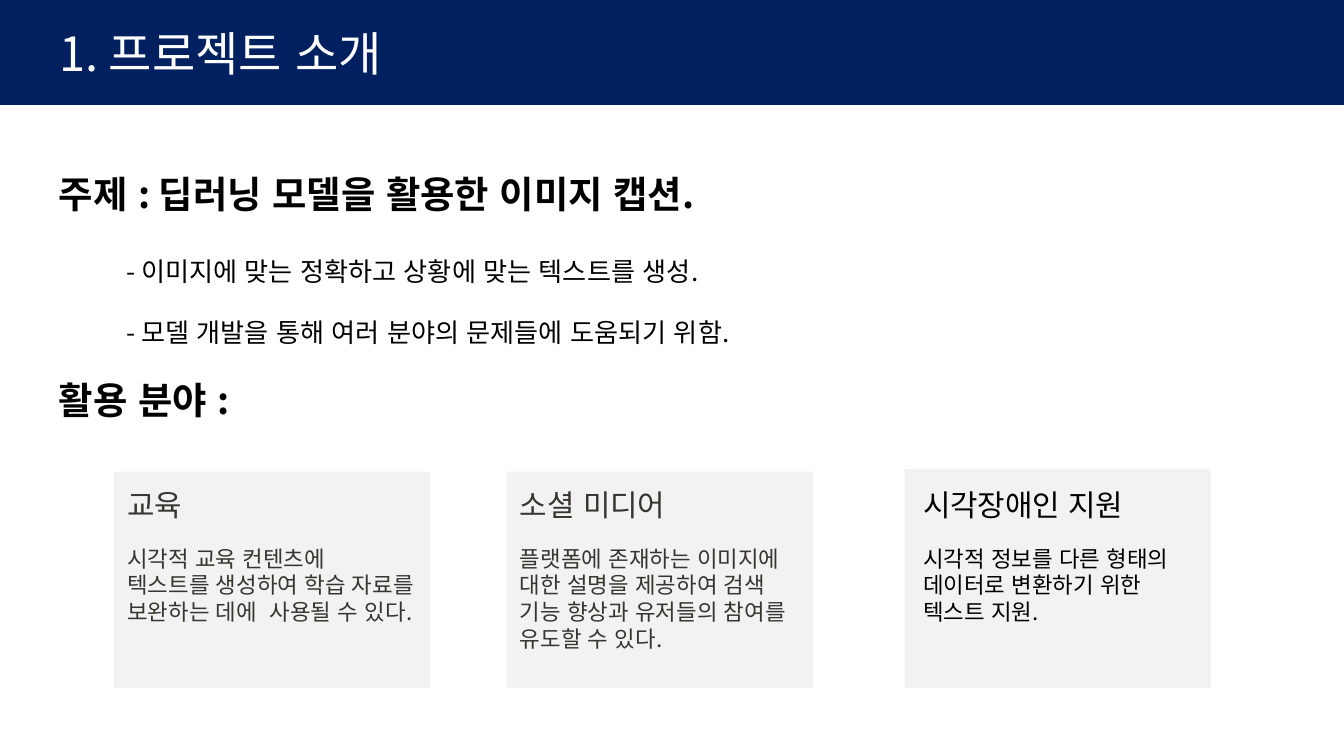
from lxml import etree
from pptx import Presentation, util as u
from pptx.dml.color import RGBColor
from pptx.enum import lang, shapes, text
from pptx.oxml.ns import qn

NAVY = RGBColor(0x00, 0x20, 0x60)
PANEL = RGBColor(0xF2, 0xF2, 0xF2)
INK = RGBColor(0x37, 0x35, 0x2F)
BLACK = RGBColor(0, 0, 0)
WHITE = RGBColor(255, 255, 255)
FONT = "Noto Sans CJK KR"

deck = Presentation()
deck.slide_width = u.Inches(10)
deck.slide_height = deck.slide_width * 9 // 16
slide = deck.slides.add_slide(deck.slide_layouts[5])


def add_panel(box, color):
    panel = slide.shapes.add_shape(shapes.MSO_SHAPE.RECTANGLE, *map(u.Inches, box))
    panel.shadow.inherit = False
    panel.fill.solid()
    panel.fill.fore_color.rgb = color
    panel.line.fill.background()


def write(holder, box, lines, color, inset=0.1, anchor=text.MSO_ANCHOR.TOP, **spacing):
    """Place holder and fill it with lines, each a list of (wording, size, bold) runs."""
    holder.left, holder.top, holder.width, holder.height = map(u.Inches, box)
    frame = holder.text_frame
    layout = {"word_wrap": True, "auto_size": text.MSO_AUTO_SIZE.NONE,
              "vertical_anchor": anchor, "margin_left": u.Inches(0.1),
              "margin_right": u.Inches(0.1), "margin_top": u.Inches(inset),
              "margin_bottom": u.Inches(inset)}
    for name, value in layout.items():
        setattr(frame, name, value)
    for i, line in enumerate(lines):
        paragraph = frame.add_paragraph() if i else frame.paragraphs[0]
        for name, value in {"alignment": text.PP_ALIGN.LEFT, **spacing}.items():
            setattr(paragraph, name, value)
        for wording, size, bold in line:
            run = paragraph.add_run()
            run.text = wording
            style = {"size": u.Pt(size), "bold": bold, "name": FONT,
                     "language_id": lang.MSO_LANGUAGE_ID.KOREAN}
            for name, value in style.items():
                setattr(run.font, name, value)
            run.font.color.rgb = color
            properties = run._r.get_or_add_rPr()
            properties.set("kern", "0")
            etree.SubElement(properties, qn("a:ea")).set("typeface", FONT)


# Topic and its goals
topic = [
    [("주제 : 딥러닝 모델을 활용한 이미지 캡션.", 20, True)],
    [("\t", 20, False), ("- 이미지에 맞는 정확하고 상황에 맞는 텍스트를 생성.", 14, False)],
    [("\t- 모델 개발을 통해 여러 분야의 문제들에 도움되기 위함.", 14, False)],
    [("활용 분야 :", 20, True)],
]
write(slide.shapes.add_textbox(0, 0, 0, 0), (0.34, 1.12, 9.42, 2.32), topic, BLACK,
      line_spacing=1.15, space_before=u.Pt(12))

# Fields of use: panel left, top, width; text left, width, height; color; heading; detail
fields = [
    (0.85, 3.51, 2.35, 0.85, 2.33, 1.55, INK, "교육",
     "시각적 교육 컨텐츠에  텍스트를 생성하여 학습 자료를 보완하는 데에  사용될 수 있다."),
    (3.77, 3.51, 2.28, 3.77, 2.28, 1.35, INK, "소셜 미디어",
     "플랫폼에 존재하는 이미지에 대한 설명을 제공하여 검색 기능 향상과 유저들의 참여를 유도할 수 있다."),
    (6.73, 3.49, 2.28, 6.77, 2.2, 1.35, BLACK, "시각장애인 지원",
     "시각적 정보를 다른 형태의 데이터로 변환하기 위한 텍스트 지원."),
]
panel_bottom = 5.12
for left, top, width, text_left, text_width, text_height, color, heading, detail in fields:
    add_panel((left, top, width, panel_bottom - top), PANEL)
    write(slide.shapes.add_textbox(0, 0, 0, 0), (text_left, 3.57, text_width, text_height),
          [[(heading, 16, False)], [(detail, 12, False)]], color,
          inset=0.05, space_before=u.Pt(12))

# Title on its bar
add_panel((0, 0, 10, 0.78), NAVY)
title = slide.shapes.title
write(title, (0.34, 0.08, 9.32, 0.63), [[("1. 프로젝트 소개", 25.2, False)]], WHITE,
      anchor=text.MSO_ANCHOR.MIDDLE)
slide.shapes._spTree.append(title._element)  # bring in front of the bar

deck.save("out.pptx")
